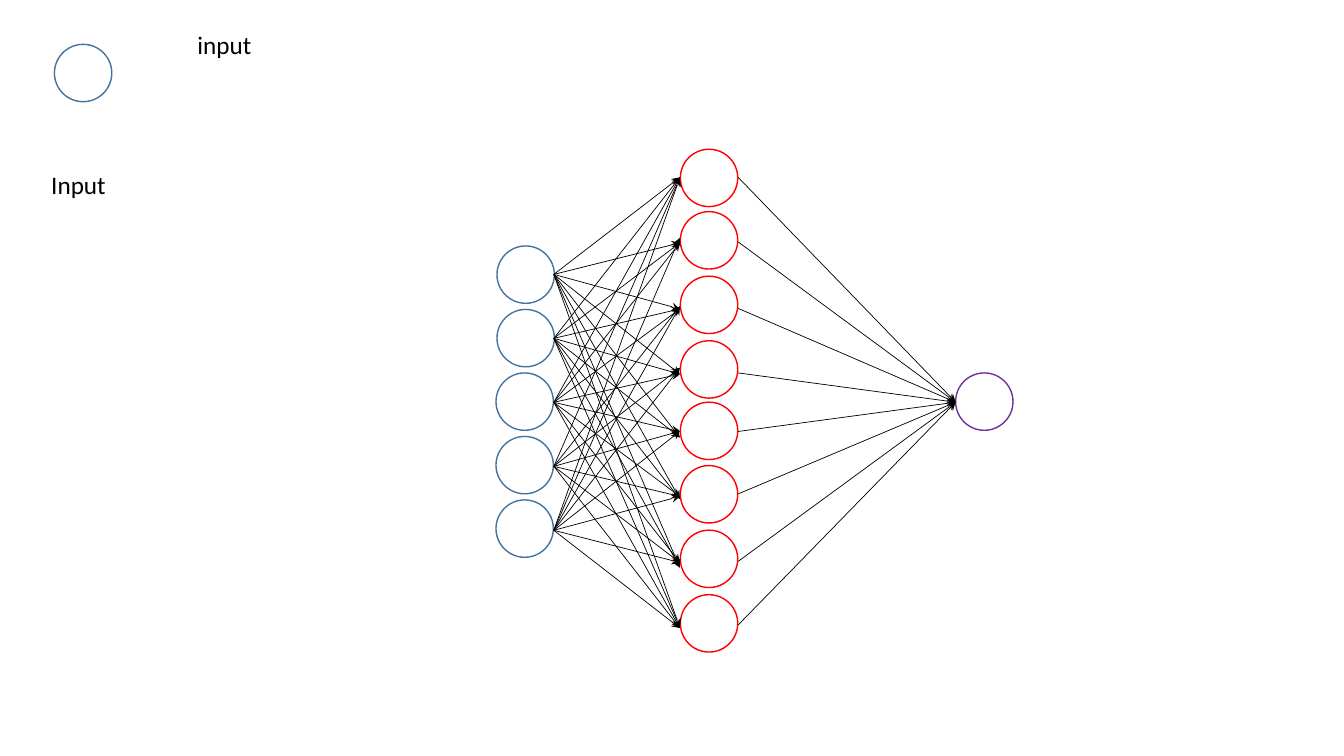
from dataclasses import dataclass
from itertools import product

from lxml import etree
from pptx import Presentation
from pptx.dml import color
from pptx.enum import shapes, text
from pptx.oxml import ns
from pptx.util import Pt

HUES = {"input": "43739E", "hidden": "FF0000", "output": "7030A0",
        "fill": "FFFFFF", "ink": "000000"}
SIZE = 41
TOPS = (106.6, 151.2, 197.3, 243.4, 287.3, 332.6, 378.7, 424.8)
AIMS = (126.7, 173.5, 220.7, 267.2, 312.5, 356.4, 405.4, 448.2)
EXITS = (126.7, 172.8, 220.3, 266.4, 308.2, 352.8, 401, 446.4)
MIRROR = 575.3
SKIP = (3, 1)
FONT = {"name": "Calibri", "size": Pt(18)}
FRAME = {"word_wrap": True, "auto_size": text.MSO_AUTO_SIZE.SHAPE_TO_FIT_TEXT}


@dataclass
class Node:
    left: float
    top: float
    hue: str


@dataclass
class Label:
    left: float
    top: float
    words: str


@dataclass
class Edge:
    x1: float
    y1: float
    x2: float
    y2: float


def tint(name: str) -> color.RGBColor:
    """Return a palette colour."""
    return color.RGBColor.from_string(HUES[name])


def format_all(item: object, values: dict) -> None:
    """Set each attribute in values on item."""
    for key, value in values.items():
        setattr(item, key, value)


def draw_node(slide, node: Node) -> None:
    """Draw one neuron."""
    ring = slide.shapes.add_shape(shapes.MSO_SHAPE.OVAL, Pt(node.left),
                                  Pt(node.top), Pt(SIZE), Pt(SIZE))
    ring.shadow.inherit = False
    ring.fill.solid()
    ring.fill.fore_color.rgb = tint("fill")
    ring.line.color.rgb = tint(node.hue)
    ring.line.width = Pt(1)


def draw_label(slide, label: Label) -> None:
    """Draw one caption."""
    box = slide.shapes.add_textbox(Pt(label.left), Pt(label.top), Pt(59), Pt(29))
    format_all(box.text_frame, FRAME)
    run = box.text_frame.paragraphs[0].add_run()
    run.text = label.words
    format_all(run.font, FONT)
    run.font.color.rgb = tint("ink")


def draw_edge(slide, edge: Edge) -> None:
    """Draw one arrow between layers."""
    line = slide.shapes.add_connector(
        shapes.MSO_CONNECTOR.STRAIGHT,
        Pt(edge.x1), Pt(edge.y1), Pt(edge.x2), Pt(edge.y2))
    line.line.color.rgb = tint("ink")
    line.line.width = Pt(0.5)
    tail = etree.SubElement(line.line._get_or_add_ln(), ns.qn("a:tailEnd"))
    tail.set("type", "stealth")
    etree.SubElement(line._element.spPr, ns.qn("a:effectLst"))


def aim(row: int, col: int) -> float:
    """Return the height where an input's arrow meets a hidden neuron."""
    upper = row < 2 or (row == 2 and col < 4)
    return AIMS[col] if upper else MIRROR - AIMS[-1 - col]


def main() -> None:
    """Build the neural network slide."""
    deck = Presentation()
    format_all(deck, {"slide_width": Pt(960), "slide_height": Pt(540)})
    slide = deck.slides.add_slide(deck.slide_layouts[6])

    nodes = [Node(355 if row < 2 else 354.3, 175.7 + 45.35 * row, "input")
             for row in range(5)]
    nodes.append(Node(38.9, 31.7, "input"))
    nodes += [Node(486, top, "hidden") for top in TOPS]
    nodes.append(Node(682.6, 266.4, "output"))
    for node in nodes:
        draw_node(slide, node)

    for label in (Label(29.5, 117.4, "Input"), Label(133.9, 17.3, "input")):
        draw_label(slide, label)

    edges = [Edge(395.6, 196 + 45.7 * row, 485.6, aim(row, col))
             for row, col in product(range(5), range(8)) if (row, col) != SKIP]
    edges += [Edge(527.3, y, 682.6, 287.3) for y in EXITS]
    for edge in edges:
        draw_edge(slide, edge)

    deck.save("out.pptx")


if __name__ == "__main__":
    main()
